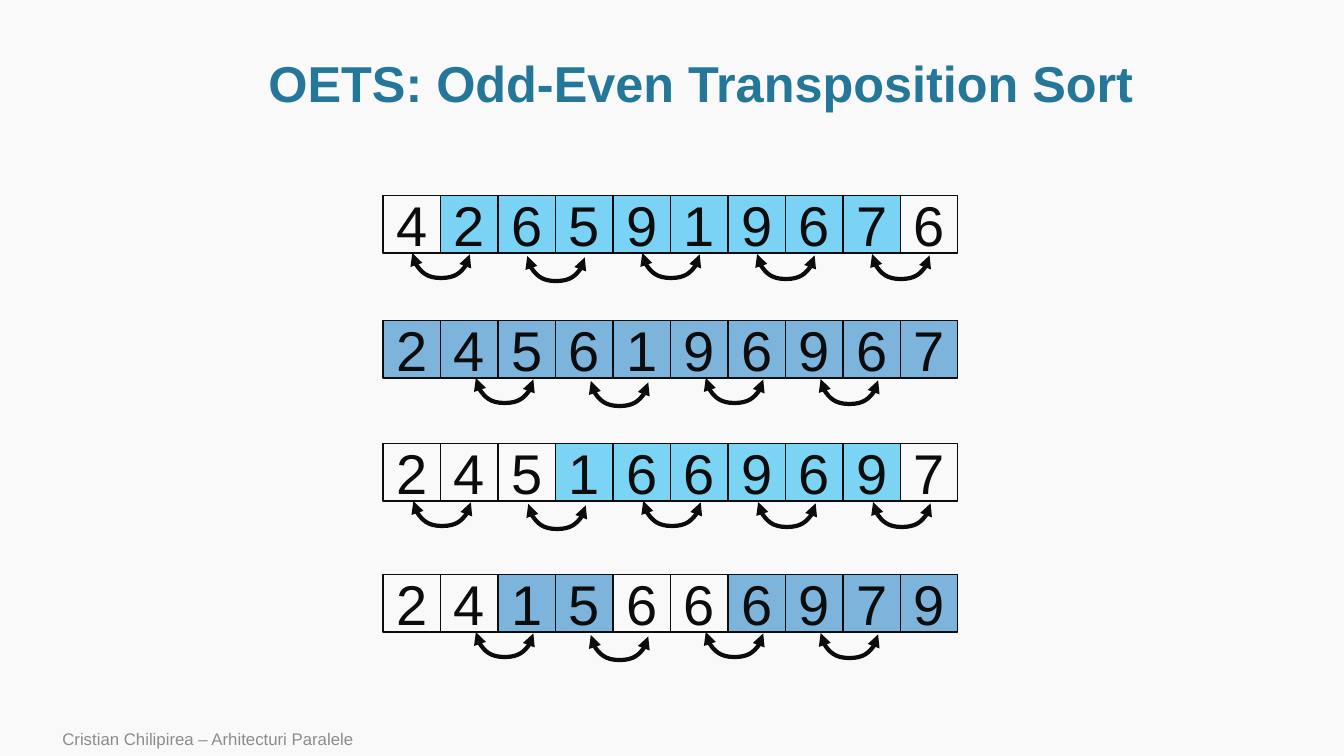
from lxml import etree
from pptx import Presentation
from pptx.dml.color import RGBColor
from pptx.enum import shapes, text
from pptx.oxml import ns
from pptx.util import Inches, Pt

COLORS = {
    "page": "F9F9F9",
    "title": "247798",
    "ink": "0C0C0C",
    "odd": "00B0F0",
    "even": "0070C0",
    "footer": "8C8C8C",
}
FONT = "Arial"
CELL = 0.57
ROW_LEFT = 3.8
PAIR_PITCH = 1.14
ARROW_DEPTH = 0.25
CURVE_FACTOR = 18
ARROW_NUDGES = [0, 0.03, 0, 0.01, 0.01]

# Row top, digits, shaded cells, shade, alpha %, first arrow x, arrow count
PASSES = [
    (1.94, "4265919676", range(1, 9), "odd", 51, 4.09, 5),
    (3.18, "2456196967", range(10), "even", 50, 4.72, 4),
    (4.4, "2451669697", range(3, 9), "odd", 50, 4.1, 5),
    (5.7, "2415666979", (2, 3, 6, 7, 8, 9), "even", 50, 4.72, 4),
]


def rgb(name):
    return RGBColor.from_string(COLORS[name])


def add_child(parent, tag, **attributes):
    return etree.SubElement(parent, ns.qn(tag), attributes)


def write(shape, words, size, color, align, bold=False):
    frame = shape.text_frame
    frame.word_wrap = True
    frame.vertical_anchor = text.MSO_ANCHOR.MIDDLE
    frame.text = words
    para = frame.paragraphs[0]
    para.alignment = align
    font = para.runs[0].font
    font.name, font.size, font.bold = FONT, Pt(size), bold
    font.color.rgb = rgb(color)
    return para


def add_label(page, left, top, width, height, words, size, color, align, bold=False):
    box = page.shapes.add_textbox(*map(Inches, (left, top, width, height)))
    return write(box, words, size, color, align, bold)


def add_cell(page, left, top, digit, shade, alpha):
    cell = page.shapes.add_shape(
        shapes.MSO_SHAPE.RECTANGLE, *map(Inches, (left, top, CELL, CELL)))
    cell.shadow.inherit = False
    cell.line.color.rgb = rgb("ink")
    cell.line.width = Pt(1)
    if shade:
        cell.fill.solid()
        cell.fill.fore_color.rgb = rgb(shade)
        fill_color = cell.element.spPr.find(ns.qn("a:solidFill"))[0]
        add_child(fill_color, "a:alpha", val=str(alpha * 1000))
    else:
        cell.fill.background()
    write(cell, digit, 40, "ink", text.PP_ALIGN.CENTER)


def add_swap_arrow(page, left, top):
    """Curve hanging below two neighbours: a flipped connector turned by 270 degrees."""
    drop = ARROW_DEPTH / CURVE_FACTOR
    center_x, center_y = left + CELL / 2, top + drop / 2
    arrow = page.shapes.add_connector(
        shapes.MSO_CONNECTOR.CURVE,
        Inches(center_x + drop / 2), Inches(center_y - CELL / 2),
        Inches(center_x - drop / 2), Inches(center_y + CELL / 2))
    arrow.line.color.rgb = rgb("ink")
    arrow.line.width = Pt(3)
    properties = arrow.element.spPr
    properties.find(ns.qn("a:xfrm")).set("rot", str(270 * 60000))
    geometry = properties.find(ns.qn("a:prstGeom"))
    guides = geometry.find(ns.qn("a:avLst"))
    if guides is None:
        guides = add_child(geometry, "a:avLst")
    add_child(guides, "a:gd", name="adj1", fmla=f"val {CURVE_FACTOR * 100000}")
    outline = properties.find(ns.qn("a:ln"))
    add_child(outline, "a:headEnd", type="triangle")
    add_child(outline, "a:tailEnd", type="triangle")
    add_child(properties, "a:effectLst")


def add_pass(page, top, digits, shaded, shade, alpha, arrow_left, arrow_count):
    # Array cells
    for index, digit in enumerate(digits):
        add_cell(page, ROW_LEFT + index * CELL, top, digit,
                 shade if index in shaded else None, alpha)
    # Compared pairs
    for index, nudge in enumerate(ARROW_NUDGES[:arrow_count]):
        add_swap_arrow(page, arrow_left + index * PAIR_PITCH, top + CELL + nudge)


def main():
    deck = Presentation()
    deck.slide_width, deck.slide_height = Inches(13.33), Inches(7.5)
    page = deck.slides.add_slide(deck.slide_layouts[6])
    page.background.fill.solid()
    page.background.fill.fore_color.rgb = rgb("page")

    # Title
    title = add_label(page, 1.14, 0.51, 11.63, 0.69, "OETS: Odd-Even Transposition Sort",
                      36, "title", text.PP_ALIGN.CENTER, bold=True)
    title.line_spacing = 0.9

    # Sorting passes
    for sorting_pass in PASSES:
        add_pass(page, *sorting_pass)

    # Footer
    add_label(page, 0.52, 7.16, 8.4, 0.34, "Cristian Chilipirea – Arhitecturi Paralele",
              12, "footer", text.PP_ALIGN.LEFT)
    deck.save("out.pptx")


if __name__ == "__main__":
    main()
